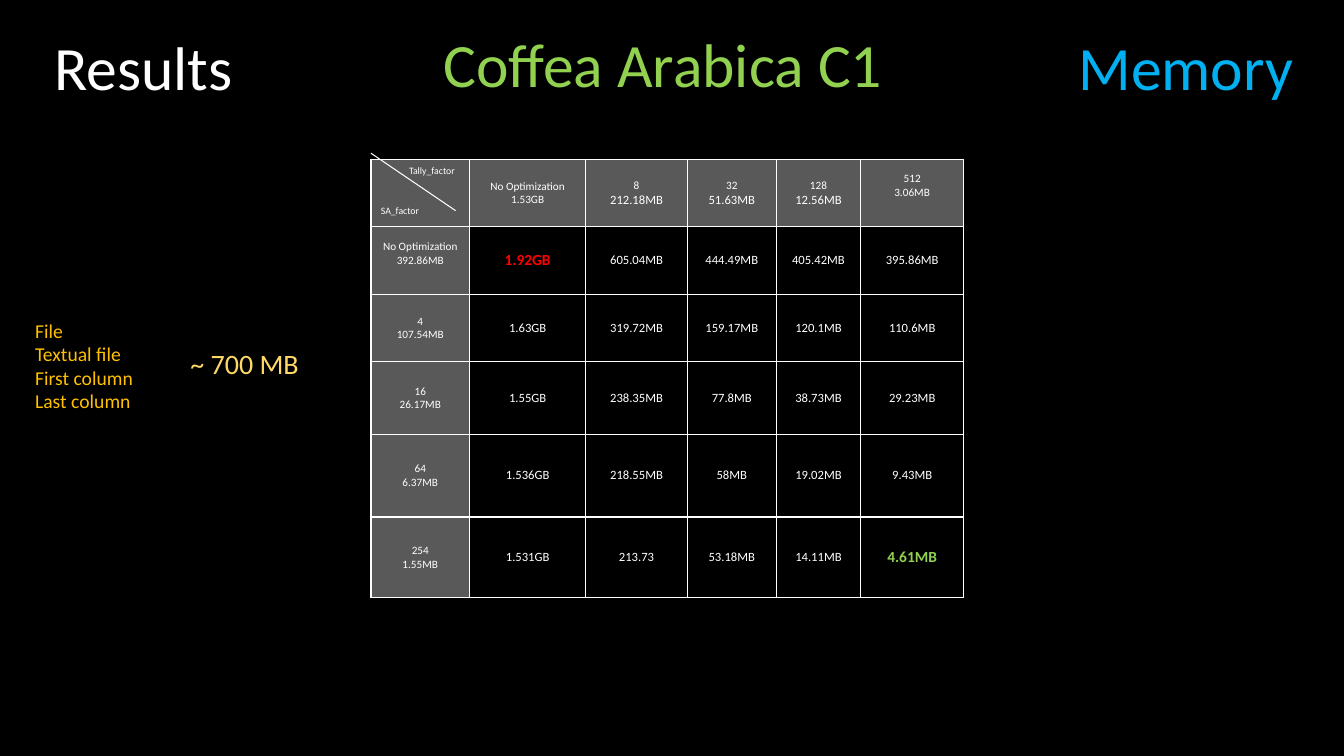
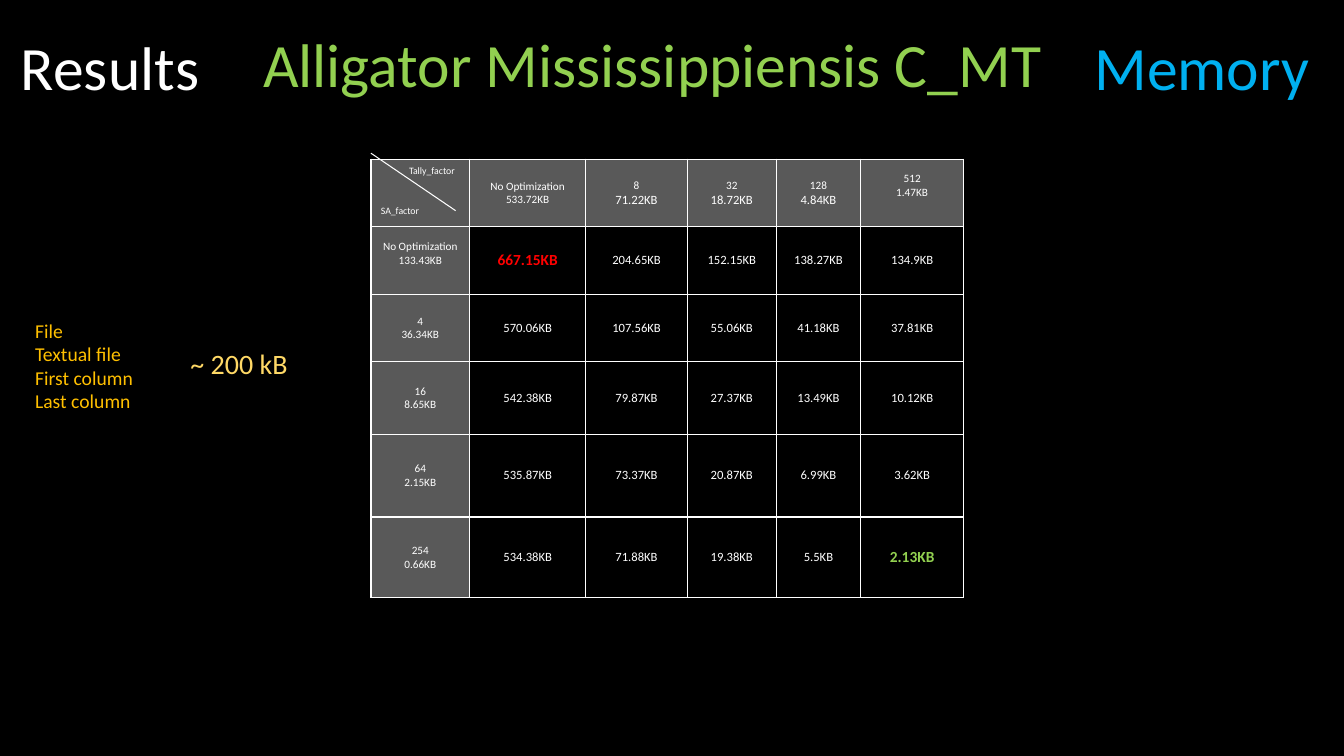
from collections import namedtuple

from lxml import etree
from pptx import Presentation
from pptx.dml.color import RGBColor
from pptx.enum.shapes import MSO_CONNECTOR
from pptx.enum.text import MSO_ANCHOR, MSO_AUTO_SIZE, PP_ALIGN
from pptx.oxml.ns import qn
from pptx.util import Inches, Pt

STRAIGHT = MSO_CONNECTOR.STRAIGHT
TOP, MIDDLE = MSO_ANCHOR.TOP, MSO_ANCHOR.MIDDLE
LEFT, CENTER = PP_ALIGN.LEFT, PP_ALIGN.CENTER
FIXED = MSO_AUTO_SIZE.NONE

# Shared look
FONT = "Calibri"
BLACK, WHITE, GRAY = "000000", "FFFFFF", "595959"
GREEN, BLUE, RED = "92D050", "00B0F0", "FF0000"
AMBER, PALE_AMBER = "FFC000", "FFD966"
HEADING_SIZE, HEADER_SIZE, VALUE_SIZE, KEY_SIZE = 44, 8, 9, 11

# Boxes count columns and rows of a square grid, ten to the inch
GRID_COLUMNS, GRID_ROWS = 133.33, 75
Box = namedtuple("Box", "left top width height")
HEADING_BAND = Box(0, 2.1, GRID_COLUMNS, 8.7)
TABLE_AREA = Box(36.8, 15.8, 58.8, 43.4)
NOTE_AREA = Box(2.5, 30.6, 31.9, 13.8)

# Table measures in grid columns and rows
TABLE_COLUMNS = [9.8, 11.5, 10.1, 8.8, 8.4, 10.2]
TABLE_ROWS = [6.7, 6.7, 6.7, 7.2, 8.2, 8]
TALLY_FACTORS = ["No Optimization", "8", "32", "128", "512"]
SA_FACTORS = ["No Optimization", "4", "16", "64", "254"]
TALLY_SIZES = [HEADER_SIZE, VALUE_SIZE, VALUE_SIZE, VALUE_SIZE, HEADER_SIZE]
RAISED_CELLS = {(0, 5), (1, 0)}
KEY_CELLS = {(1, 1): RED, (5, 5): GREEN}

NOTE_LINES = ["File", "Textual file", "First column", "Last column"]


def grid(count):
    return Inches(count / 10)


def color(code):
    return RGBColor.from_string(code)


def inside(area, left, top, width, height):
    return Box(area.left + left, area.top + top, width, height)


def place(box):
    return [grid(length) for length in box]


def write(frame, lines, code, align=LEFT):
    """Fill a text frame with one paragraph per (text, size, bold) line."""
    for number, (text, size, bold) in enumerate(lines):
        para = frame.add_paragraph() if number else frame.paragraphs[0]
        para.alignment = align
        span = para.add_run()
        span.text = text
        look = {"name": FONT, "size": Pt(size), "bold": bold}
        for name, value in look.items():
            setattr(span.font, name, value)
        span.font.color.rgb = color(code)


def format_frame(frame, inset):
    look = {"word_wrap": True, "auto_size": FIXED, "vertical_anchor": TOP,
            "margin_left": grid(1), "margin_right": grid(1),
            "margin_top": grid(inset), "margin_bottom": grid(inset)}
    for name, value in look.items():
        setattr(frame, name, value)


def add_text(shapes, box, texts, size, code, inset=0.5):
    frame = shapes.add_textbox(*place(box)).text_frame
    format_frame(frame, inset)
    write(frame, [(text, size, False) for text in texts], code)


def add_headings(page, band, data):
    """Title in the middle, section name on the left, measure on the right."""
    left, width = data["title_span"]
    title = page.shapes.title
    spot = place(inside(band, left, 0, width, 8.4))
    for name, value in zip(("left", "top", "width", "height"), spot):
        setattr(title, name, value)
    format_frame(title.text_frame, 0.5)
    write(title.text_frame, [(data["title"], HEADING_SIZE, False)], GREEN)

    sides = [("Results", data["section_left"], WHITE),
             ("Memory", data["measure_left"], BLUE)]
    for text, side_left, code in sides:
        box = inside(band, side_left, 0.3, 25.7, 8.4)
        add_text(page.shapes, box, [text], HEADING_SIZE, code)


def add_borders(cell):
    properties = cell._tc.get_or_add_tcPr()
    for number, side in enumerate(("lnL", "lnR", "lnT", "lnB")):
        line = etree.Element(qn(f"a:{side}"), w=str(Pt(1)))
        fill = etree.SubElement(line, qn("a:solidFill"))
        etree.SubElement(fill, qn("a:srgbClr"), val=WHITE)
        properties.insert(number, line)


def cell_lines(row, column, data):
    """Lines of one cell: factor with its size, or a combined size."""
    if row == column == 0:
        return []
    if row == 0:
        return [(TALLY_FACTORS[column - 1], HEADER_SIZE, False),
                (data["tally"][column - 1], TALLY_SIZES[column - 1], False)]
    if column == 0:
        return [(SA_FACTORS[row - 1], HEADER_SIZE, False),
                (data["sa"][row - 1], HEADER_SIZE, False)]
    key = (row, column) in KEY_CELLS
    size = KEY_SIZE if key else VALUE_SIZE
    return [(data["values"][row - 1][column - 1], size, key)]


def add_memory_table(page, area, data):
    table = page.shapes.add_table(
        len(TABLE_ROWS), len(TABLE_COLUMNS), *place(area)).table
    table.first_row = table.horz_banding = False
    for column, width in zip(table.columns, TABLE_COLUMNS):
        column.width = grid(width)
    for row, height in zip(table.rows, TABLE_ROWS):
        row.height = grid(height)

    for row in range(len(TABLE_ROWS)):
        for column in range(len(TABLE_COLUMNS)):
            cell = table.cell(row, column)
            header = row == 0 or column == 0
            cell.fill.solid()
            cell.fill.fore_color.rgb = color(GRAY if header else BLACK)
            cell.vertical_anchor = MIDDLE
            cell.margin_bottom = grid(1.9 if (row, column) in RAISED_CELLS else 0.5)
            code = KEY_CELLS.get((row, column), WHITE)
            write(cell.text_frame, cell_lines(row, column, data), code, CENTER)
            add_borders(cell)


def add_corner(page, area):
    """Diagonal and axis names over the first cell of the table."""
    shapes = page.shapes.add_group_shape().shapes
    left, top, width, height = place(inside(area, 0, -0.6, 8.4, 5.7))
    diagonal = shapes.add_connector(STRAIGHT, left, top, left + width, top + height)
    diagonal.line.color.rgb = color(WHITE)
    diagonal.line.width = Pt(0.75)
    etree.SubElement(diagonal._element.spPr, qn("a:effectLst"))
    for text, across, down in (("SA_factor", 0, 4), ("Tally_factor", 2.8, 0)):
        box = inside(area, across, down, 8.5, 2.2)
        add_text(shapes, box, [text], 7, WHITE)


def add_file_note(page, area, total):
    add_text(page.shapes, area, NOTE_LINES, 14, AMBER, inset=1)
    total_box = inside(area, 15.4, 2.8, 14, 5.4)
    add_text(page.shapes, total_box, [total], 20, PALE_AMBER, inset=1)


def add_results_page(deck, data):
    page = deck.slides.add_slide(deck.slide_layouts[5])
    add_headings(page, HEADING_BAND, data)
    add_memory_table(page, TABLE_AREA, data)
    add_corner(page, TABLE_AREA)
    add_file_note(page, NOTE_AREA, data["total"])


PAGES = [
    {
        "title": "Coffea Arabica C1", "title_span": (43, 46.4),
        "section_left": 4.4, "measure_left": 106, "total": "~ 700 MB",
        "tally": ["1.53GB", "212.18MB", "51.63MB", "12.56MB", "3.06MB"],
        "sa": ["392.86MB", "107.54MB", "26.17MB", "6.37MB", "1.55MB"],
        "values": [
            ["1.92GB", "605.04MB", "444.49MB", "405.42MB", "395.86MB"],
            ["1.63GB", "319.72MB", "159.17MB", "120.1MB", "110.6MB"],
            ["1.55GB", "238.35MB", "77.8MB", "38.73MB", "29.23MB"],
            ["1.536GB", "218.55MB", "58MB", "19.02MB", "9.43MB"],
            ["1.531GB", "213.73", "53.18MB", "14.11MB", "4.61MB"],
        ],
    },
    {
        "title": "Alligator Mississippiensis C_MT", "title_span": (25.1, 83.4),
        "section_left": 1.1, "measure_left": 107.6, "total": "~ 200 kB",
        "tally": ["533.72KB", "71.22KB", "18.72KB", "4.84KB", "1.47KB"],
        "sa": ["133.43KB", "36.34KB", "8.65KB", "2.15KB", "0.66KB"],
        "values": [
            ["667.15KB", "204.65KB", "152.15KB", "138.27KB", "134.9KB"],
            ["570.06KB", "107.56KB", "55.06KB", "41.18KB", "37.81KB"],
            ["542.38KB", "79.87KB", "27.37KB", "13.49KB", "10.12KB"],
            ["535.87KB", "73.37KB", "20.87KB", "6.99KB", "3.62KB"],
            ["534.38KB", "71.88KB", "19.38KB", "5.5KB", "2.13KB"],
        ],
    },
]

deck = Presentation()
deck.slide_width, deck.slide_height = grid(GRID_COLUMNS), grid(GRID_ROWS)
backdrop = deck.slide_master.background.fill
backdrop.solid()
backdrop.fore_color.rgb = color(BLACK)
for page_data in PAGES:
    add_results_page(deck, page_data)
deck.save("out.pptx")
